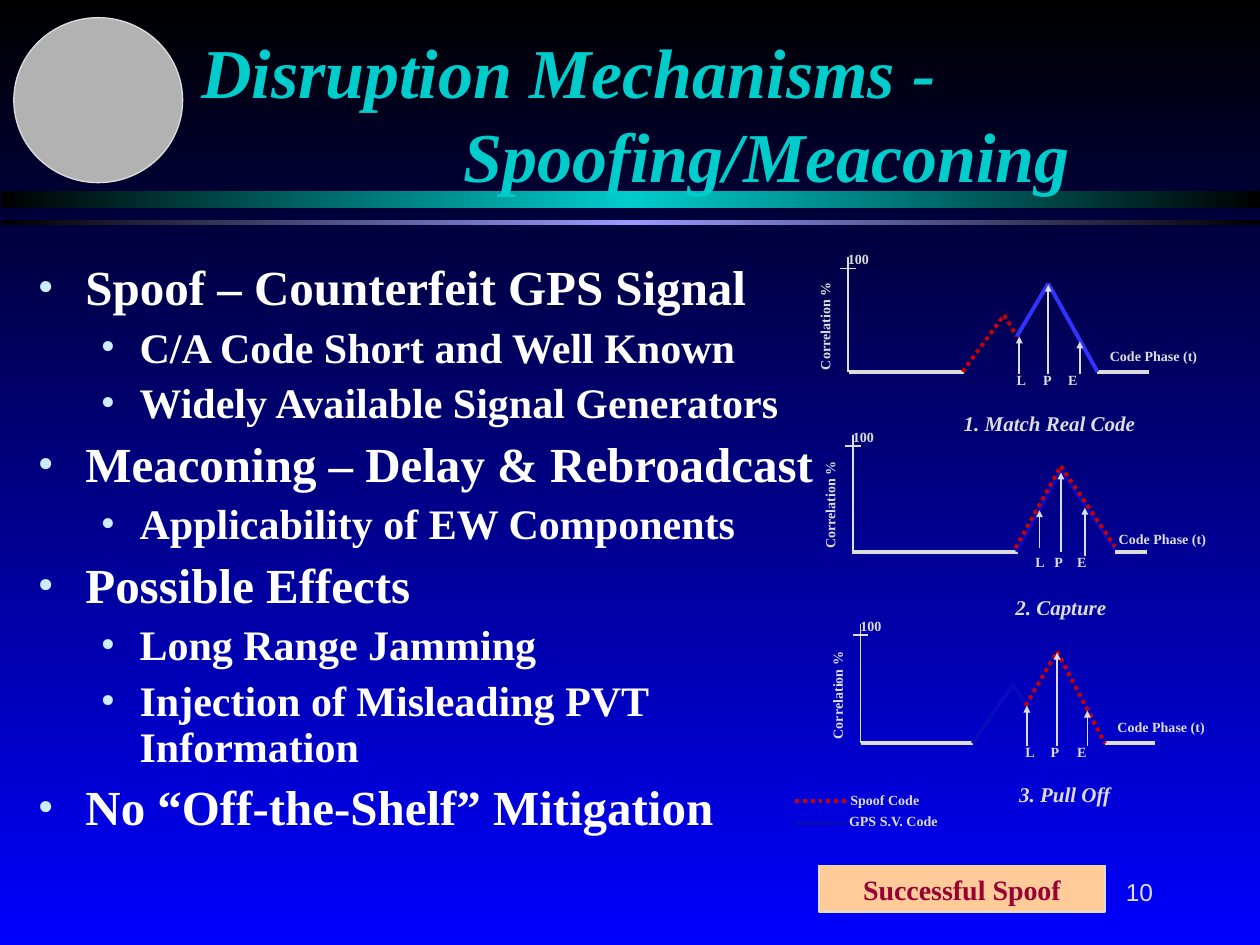
from copy import deepcopy
from dataclasses import dataclass

from lxml.etree import SubElement
from pptx import Presentation
from pptx.dml.color import RGBColor
from pptx.enum.dml import MSO_LINE
from pptx.enum.shapes import MSO_CONNECTOR as Connector, MSO_SHAPE as Shape
from pptx.enum.text import MSO_ANCHOR as Anchor, PP_ALIGN as Align
from pptx.oxml.ns import qn
from pptx.util import Inches, Pt


@dataclass(frozen=True)
class Theme:
    serif: str = "Times New Roman"
    sans: str = "Arial"
    black: str = "000000"
    sky: str = "0000FF"
    teal: str = "00CCCC"
    lilac: str = "9999FF"
    gray: str = "B2B2B2"
    pale: str = "DDDDDD"
    white: str = "FFFFFF"
    bullet: str = "CCECFF"
    spoof: str = "CC0000"
    real: str = "3333FF"
    dim: str = "070BBD"
    peach: str = "FFCC99"
    wine: str = "990033"
    title: int = 40
    levels: tuple = (28, 24)
    banner: int = 16
    number: int = 14
    caption: int = 12
    label: int = 8
    thick: float = 2.25
    thin: float = 1


THEME = Theme()

BULLETS = [
    (0, "Spoof – Counterfeit GPS Signal"),
    (1, "C/A Code Short and Well Known"),
    (1, "Widely Available Signal Generators"),
    (0, "Meaconing – Delay & Rebroadcast"),
    (1, "Applicability of EW Components"),
    (0, "Possible Effects"),
    (1, "Long Range Jamming"),
    (1, "Injection of Misleading PVT Information"),
    (0, "No “Off-the-Shelf” Mitigation"),
]

# Each panel: axis x, top and base; flat base parts; code curves as points;
# arrows (x, from, to); letters at (left, top) with tab stops; label places
PANELS = [
    dict(axis=(6.73, 2.04, 2.95), flats=[(6.74, 7.65), (8.71, 9.12)],
         curves=[(THEME.spoof, [(7.64, 2.95), (7.97, 2.5), (8.07, 2.67)]),
                 (THEME.real, [(8.07, 2.67), (8.32, 2.25), (8.71, 2.95)])],
         arrows=[(8.09, 2.97, 2.67), (8.32, 2.97, 2.26), (8.57, 2.97, 2.71)],
         letters=(7.97, 2.9), stops=(0.21, 0.41), phase=(8.71, 2.71),
         caption=("1. Match Real Code", 7.55, 3.21)),
    dict(axis=(6.77, 3.45, 4.38), flats=[(6.76, 8.08), (8.85, 9.1)],
         curves=[(THEME.dim, [(8.07, 4.38), (8.42, 3.73), (8.85, 4.36)]),
                 (THEME.spoof, [(8.06, 4.35), (8.42, 3.7), (8.85, 4.34)])],
         arrows=[(8.25, 4.35, 4.05), (8.42, 4.38, 3.75), (8.61, 4.41, 4.03)],
         letters=(8.12, 4.34), stops=(0.15, 0.33), phase=(8.78, 4.16),
         caption=("2. Capture", 7.96, 4.67)),
    dict(axis=(6.83, 4.95, 5.9), flats=[(6.83, 7.72), (8.77, 9.17)],
         curves=[(THEME.dim, [(7.72, 5.9), (8.04, 5.43), (8.14, 5.59)]),
                 (THEME.spoof, [(8.14, 5.6), (8.39, 5.17), (8.77, 5.9)])],
         arrows=[(8.15, 5.92, 5.6), (8.39, 5.92, 5.18), (8.63, 5.92, 5.64)],
         letters=(8.04, 5.85), stops=(0.2, 0.41), phase=(8.77, 5.65),
         caption=("3. Pull Off", 7.99, 6.15)),
]


def rgb(color):
    return RGBColor.from_string(color)


def set_gradient(fill, colors, angle):
    fill.gradient()
    fill.gradient_angle = angle
    first = fill.gradient_stops[0]._gs
    for _ in colors[2:]:
        first.addnext(deepcopy(first))
    for index, (stop, color) in enumerate(zip(fill.gradient_stops, colors)):
        stop.color.rgb = rgb(color)
        stop.position = index / (len(colors) - 1)


def add_block(page, kind, left, top, width, height, fill, line=None, weight=1):
    block = page.shapes.add_shape(kind, Inches(left), Inches(top), Inches(width), Inches(height))
    block.shadow.inherit = False
    if isinstance(fill, tuple):
        set_gradient(block.fill, fill, 0)
    else:
        block.fill.solid()
        block.fill.fore_color.rgb = rgb(fill)
    if line:
        block.line.color.rgb = rgb(line)
        block.line.width = Pt(weight)
    else:
        block.line.fill.background()
    return block


def add_line(page, start, end, color=THEME.pale, weight=THEME.thin, arrow=False):
    line = page.shapes.add_connector(Connector.STRAIGHT, *map(Inches, (*start, *end)))
    line.line.color.rgb = rgb(color)
    line.line.width = Pt(weight)
    if color == THEME.spoof:
        line.line.dash_style = MSO_LINE.ROUND_DOT
    if arrow:
        SubElement(line.line._get_or_add_ln(), qn("a:tailEnd"),
                   type="triangle", w="sm", len="sm")
    SubElement(line._element.spPr, qn("a:effectLst"))


def add_span(para, text, size, color, font=THEME.serif, bold=True, italic=False):
    span = para.add_run()
    span.text = text
    span.font.size, span.font.name = Pt(size), font
    span.font.bold, span.font.italic = bold, italic
    span.font.color.rgb = rgb(color)


def add_box(page, left, top, width, height, anchor=Anchor.TOP, turn=0):
    box = page.shapes.add_textbox(Inches(left), Inches(top), Inches(width), Inches(height))
    box.rotation = turn
    box.text_frame.word_wrap = True
    box.text_frame.vertical_anchor = anchor
    return box.text_frame


def add_text(page, text, left, top, width, height=0.24, size=THEME.label, color=THEME.pale,
             align=Align.LEFT, anchor=Anchor.TOP, turn=0, stops=(), **style):
    para = add_box(page, left, top, width, height, anchor, turn).paragraphs[0]
    para.alignment = align
    if stops:
        tabs = SubElement(para._p.get_or_add_pPr(), qn("a:tabLst"))
        for stop in stops:
            SubElement(tabs, qn("a:tab"), pos=str(Inches(stop)), algn="l")
    add_span(para, text, size, color, **style)


def add_title(page):
    frame = add_box(page, 1.5, 0.27, 8.25, 1.25, Anchor.MIDDLE)
    for index, (text, indent) in enumerate([("Disruption Mechanisms -", 0),
                                            ("Spoofing/Meaconing", 2.08)]):
        para = frame.add_paragraph() if index else frame.paragraphs[0]
        para._p.get_or_add_pPr().set("marL", str(Inches(indent)))
        add_span(para, text, THEME.title, THEME.teal, italic=True)


def add_bullets(page):
    # The width keeps every line clear of the panels' axis labels
    frame = add_box(page, 0.2, 2.04, 6.5, 5.02)
    for index, (level, text) in enumerate(BULLETS):
        para = frame.add_paragraph() if index else frame.paragraphs[0]
        para.level = level
        para.line_spacing = 0.9
        if index:
            para.space_before = Pt((7, 6)[level])
        margin, hang = ((0.38, -0.38), (0.81, -0.31))[level]
        props = para._p.get_or_add_pPr()
        props.set("marL", str(Inches(margin)))
        props.set("indent", str(Inches(hang)))
        SubElement(SubElement(props, qn("a:buClr")), qn("a:srgbClr"), val=THEME.bullet)
        SubElement(props, qn("a:buSzPct"), val=("95000", "100000")[level])
        SubElement(props, qn("a:buFont"), typeface=THEME.serif)
        SubElement(props, qn("a:buChar"), char="•")
        add_span(para, text, THEME.levels[level], THEME.white)


def add_panel(page, axis, flats, curves, arrows, letters, stops, phase, caption):
    x, top, base = axis
    for start, end in flats:
        add_line(page, (start, base), (end, base), weight=THEME.thick)
    for color, points in curves:
        for start, end in zip(points, points[1:]):
            add_line(page, start, end, color, THEME.thick)
    for place, low, high in arrows:
        add_line(page, (place, low), (place, high), arrow=True)
    # Vertical axis with its tick and labels
    add_line(page, (x, base), (x, top))
    add_line(page, (x - 0.06, top + 0.09), (x + 0.06, top + 0.09))
    add_text(page, "100", x - 0.1, top - 0.1, 0.41)
    add_text(page, "Correlation %", x - 0.68, (top + base) / 2 - 0.08, 1, turn=270)
    add_text(page, "Code Phase (t)", *phase, 0.95)
    add_text(page, "L\tP\tE", *letters, 0.76, stops=stops)
    add_text(page, *caption, 1.62, 0.3, size=THEME.caption, italic=True)


def main():
    deck = Presentation()
    deck.slide_width, deck.slide_height = Inches(10), Inches(7.5)
    page = deck.slides.add_slide(deck.slide_layouts[6])
    set_gradient(page.background.fill, (THEME.black, THEME.sky), 270)

    # Header bars and emblem disc
    for top, height, color in ((1.52, 0.13, THEME.teal), (1.75, 0.04, THEME.lilac)):
        add_block(page, Shape.RECTANGLE, 0.01, top, 9.99, height,
                  (THEME.black, color, THEME.black))
    add_block(page, Shape.OVAL, 0.11, 0.14, 1.34, 1.31, THEME.gray, THEME.pale, 0.75)

    add_title(page)
    add_bullets(page)

    # Correlation panels and their legend
    for panel in PANELS:
        add_panel(page, **panel)
    for text, left, y, color in (("Spoof Code", 6.65, 6.36, THEME.spoof),
                                 ("GPS S.V. Code", 6.64, 6.53, THEME.dim)):
        add_line(page, (6.31, y), (6.72, y), color, THEME.thick)
        add_text(page, text, left, y - 0.13, 1.23)

    # Banner and page number
    banner = add_block(page, Shape.RECTANGLE, 6.5, 6.87, 2.27, 0.37, THEME.peach, THEME.pale)
    para = banner.text_frame.paragraphs[0]
    para.alignment = Align.CENTER
    add_span(para, "Successful Spoof", THEME.banner, THEME.wine)
    add_text(page, "10", 7.17, 6.83, 2.08, 0.5, size=THEME.number, align=Align.RIGHT,
             anchor=Anchor.MIDDLE, font=THEME.sans, bold=False)
    deck.save("out.pptx")


if __name__ == "__main__":
    main()
